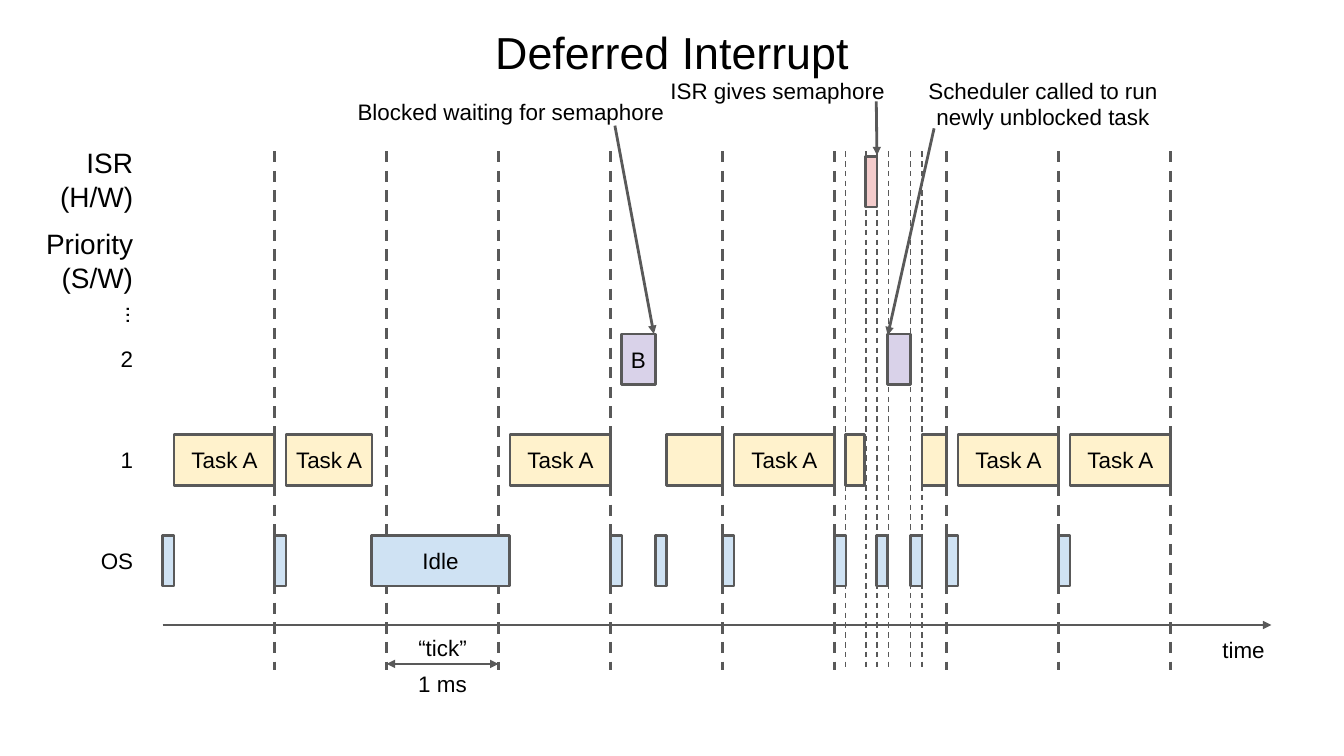
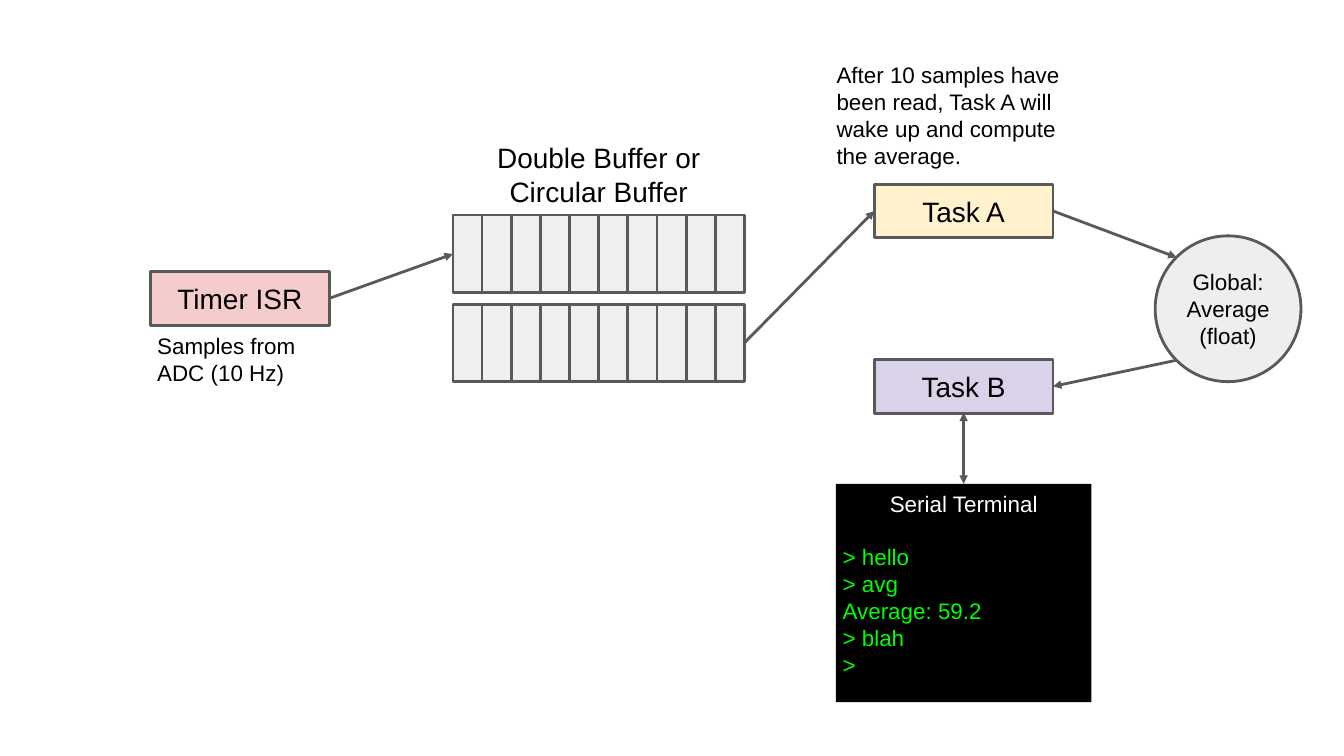
import pptx
import pptx.util
import pptx.dml.color
import pptx.enum.dml
import pptx.enum.shapes
import pptx.enum.text
import pptx.oxml
import pptx.oxml.ns
import lxml.etree

Inches = pptx.util.Inches
Align = pptx.enum.text.PP_ALIGN
Anchor = pptx.enum.text.MSO_ANCHOR
Shape = pptx.enum.shapes.MSO_SHAPE

HUES = {
    "ink": "000000",
    "line": "595959",
    "white": "FFFFFF",
    "green": "00FF00",
    "gray": "EFEFEF",
    "globe": "EEEEEE",
    "task_a": "FFF2CC",
    "task_b": "D9D2E9",
    "isr": "F4CCCC",
    "os": "CFE2F3",
}


def hue(name):
    return pptx.dml.color.RGBColor.from_string(HUES[name])


class Deck:
    font = "Arial"
    size = 24
    big = 30
    weight = 3

    def __init__(self):
        self.prs = pptx.Presentation()
        self.prs.slide_width = Inches(20)
        self.prs.slide_height = Inches(11.25)
        self.slide = None

    def add(self, title=None):
        """Start a slide, with a centred title on top if one is given."""
        layout = self.prs.slide_layouts[5 if title else 6]
        self.slide = self.prs.slides.add_slide(layout)
        if title:
            head = self.slide.shapes.title
            head.left, head.top = Inches(0), Inches(0)
            head.width, head.height = Inches(20), Inches(1.54)
            self.label(head, title, 48)

    def label(self, shape, text, size=None, align=Align.CENTER,
              anchor=Anchor.MIDDLE, color="ink"):
        frame = shape.text_frame
        frame.text = text
        frame.word_wrap = True
        frame.auto_size = pptx.enum.text.MSO_AUTO_SIZE.NONE
        frame.vertical_anchor = anchor
        frame.margin_left = frame.margin_right = Inches(0.1)
        frame.margin_top = frame.margin_bottom = Inches(0.1)
        for para in frame.paragraphs:
            para.alignment = align
            for run in para.runs:
                run.font.name = self.font
                run.font.size = pptx.util.Pt(size or self.size)
                run.font.color.rgb = hue(color)

    def text(self, box, text, **style):
        area = self.slide.shapes.add_textbox(*map(Inches, box))
        self.label(area, text, **style)
        return area

    def block(self, box, fill, text="", kind=Shape.RECTANGLE, edge=True, **style):
        shape = self.slide.shapes.add_shape(kind, *map(Inches, box))
        shape.shadow.inherit = False
        shape.fill.solid()
        shape.fill.fore_color.rgb = hue(fill)
        if edge:
            shape.line.color.rgb = hue("line")
            shape.line.width = pptx.util.Pt(self.weight)
        else:
            shape.line.fill.background()
        if text:
            self.label(shape, text, **style)
        return shape

    def line(self, start, end, weight=None, dash=False, tips=()):
        """Draw a line; tips names the ends (head, tail) that get an arrow."""
        link = self.slide.shapes.add_connector(
            pptx.enum.shapes.MSO_CONNECTOR.STRAIGHT, *map(Inches, start + end))
        link.line.color.rgb = hue("line")
        link.line.width = pptx.util.Pt(weight or self.weight)
        if dash:
            link.line.dash_style = pptx.enum.dml.MSO_LINE.DASH
        qn = pptx.oxml.ns.qn
        props = link._element.spPr
        stroke = props.find(qn("a:ln"))
        for tip in tips:
            lxml.etree.SubElement(stroke, qn(f"a:{tip}End"), type="triangle")
        lxml.etree.SubElement(props, qn("a:effectLst"))


TAIL = ("tail",)
BOTH = ("head", "tail")


def tick(num):
    return 2.42 + num * 5 / 3


def timeline(deck):
    deck.add("Deferred Interrupt")
    slot = 0.17
    rows = {"isr": 2.33, "task_b": 4.97, "task_a": 6.47, "os": 7.97}

    def bar(row, left, width, text=""):
        deck.block((left, rows[row], width, 0.75), row, text)

    def guide(left, weight):
        deck.line((left, 2.25), (left, 9.97), weight, dash=True)

    deck.line((tick(0), 9.3), (18.92, 9.3), tips=TAIL)
    for num in range(1, 10):
        guide(tick(num), 3)
    deck.line((tick(2), 9.88), (tick(3), 9.88), tips=BOTH)

    for left in [tick(num) for num in (0, 1, 4, 5, 6, 7, 8)] + [9.75, 13.04, 13.55]:
        bar("os", left, slot)
    bar("os", 5.53, 2.05, "Idle")
    for num in (0, 3, 5, 7, 8):
        bar("task_a", tick(num) + slot, 1.5, "Task A")
    bar("task_a", tick(1) + slot, 1.28, "Task A")
    for left, width in ((9.92, 0.83), (12.58, 0.29), (13.72, 0.36)):
        bar("task_a", left, width)
    bar("task_b", 9.25, 0.5, "B")
    bar("task_b", 13.21, 0.34)
    bar("isr", 12.88, slot)

    for top, name in ((4.88, "2"), (6.38, "1"), (7.88, "OS")):
        deck.text((1, top, 1.08, 0.92), name, align=Align.RIGHT)
    for top, high, name in ((2.08, 1.17, "ISR\n(H/W)"), (3.33, 1.08, "Priority (S/W)")):
        deck.text((0.5, top, 1.58, high), name, size=deck.big, align=Align.RIGHT)
    deck.text((1.31, 4.23, 0.96, 0.92), "...").rotation = 270

    notes = (
        ((5.75, 9.88, 1.67, 0.58), "1 ms"),
        ((5.91, 9.38, 1.35, 0.5), "“tick”"),
        ((17.67, 9.38, 1.67, 0.58), "time"),
        ((5.18, 1.41, 4.84, 0.5), "Blocked waiting for semaphore"),
        ((9.15, 1.1, 4.84, 0.5), "ISR gives semaphore"),
        ((13.37, 1, 4.3, 1.08), "Scheduler called to run newly unblocked task"),
    )
    for box, note in notes:
        deck.text(box, note)
    deck.line((9.15, 1.87), (9.73, 4.97), tips=TAIL)
    deck.line((13.04, 1.51), (13.05, 2.31), tips=TAIL)
    deck.line((13.9, 1.91), (13.21, 4.99), tips=TAIL)
    for left in (12.58, 12.89, 13.05, 13.22, 13.55, 13.72):
        guide(left, 1.5)


def dataflow(deck):
    deck.add()
    for left, top, fill, name in (
        (13.01, 2.74, "task_a", "Task A"),
        (13.01, 5.35, "task_b", "Task B"),
        (2.24, 4.04, "isr", "Timer ISR"),
    ):
        deck.block((left, top, 2.66, 0.8), fill, name, size=deck.big)

    cell = 4.34 / 10
    for top in (3.2, 4.53):
        for col in range(10):
            deck.block((6.74 + col * cell, top, cell, 1.15), "gray")

    deck.block((17.19, 3.51, 2.17, 2.17), "globe", "Global:\nAverage (float)",
               kind=Shape.OVAL)

    screen = deck.block(
        (12.44, 7.2, 3.8, 3.25), "ink",
        "Serial Terminal\n> hello\n> avg\nAverage: 59.2\n> blah\n>",
        edge=False, align=Align.LEFT, anchor=Anchor.TOP, color="green")
    head = screen.text_frame.paragraphs[0]
    head.alignment = Align.CENTER
    head.space_after = pptx.util.Pt(28)
    head.runs[0].font.color.rgb = hue("white")

    for start, end in (
        ((4.9, 4.44), (6.74, 3.78)),
        ((11.08, 5.1), (13.01, 3.14)),
        ((15.67, 3.14), (17.51, 3.83)),
        ((17.51, 5.36), (15.67, 5.75)),
    ):
        deck.line(start, end, tips=TAIL)
    deck.line((14.34, 6.14), (14.34, 7.2), tips=BOTH)

    deck.text((6.74, 1.99, 4.34, 1.2), "Double Buffer or Circular Buffer",
              size=deck.big, anchor=Anchor.TOP)
    for box, note in (
        ((2.24, 4.84, 2.66, 1), "Samples from ADC (10 Hz)"),
        ((12.35, 0.81, 3.98, 1.8),
         "After 10 samples have been read, Task A will wake up and compute the average."),
    ):
        deck.text(box, note, align=Align.LEFT, anchor=Anchor.TOP)


def main():
    deck = Deck()
    timeline(deck)
    dataflow(deck)
    deck.prs.save("out.pptx")


if __name__ == "__main__":
    main()
